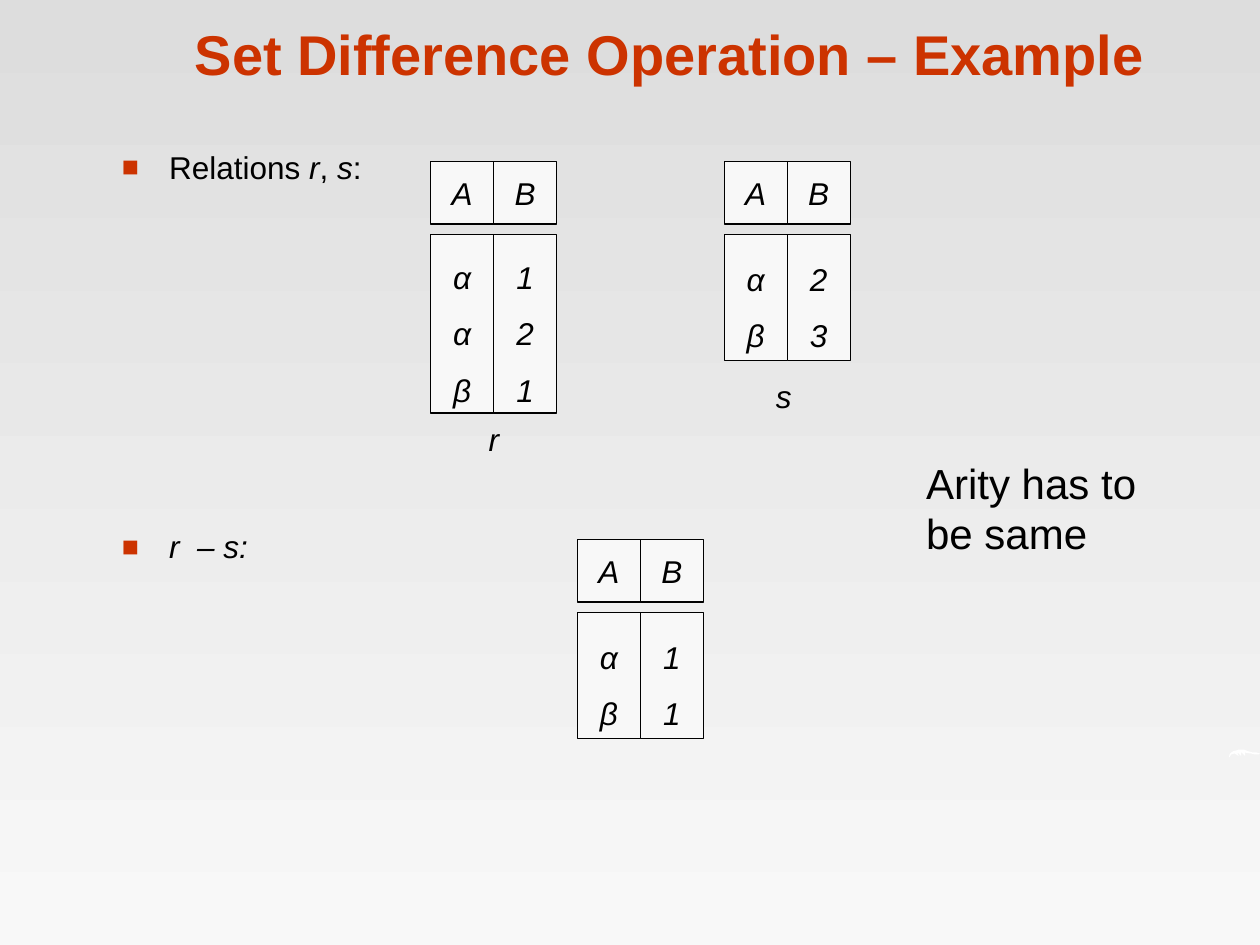
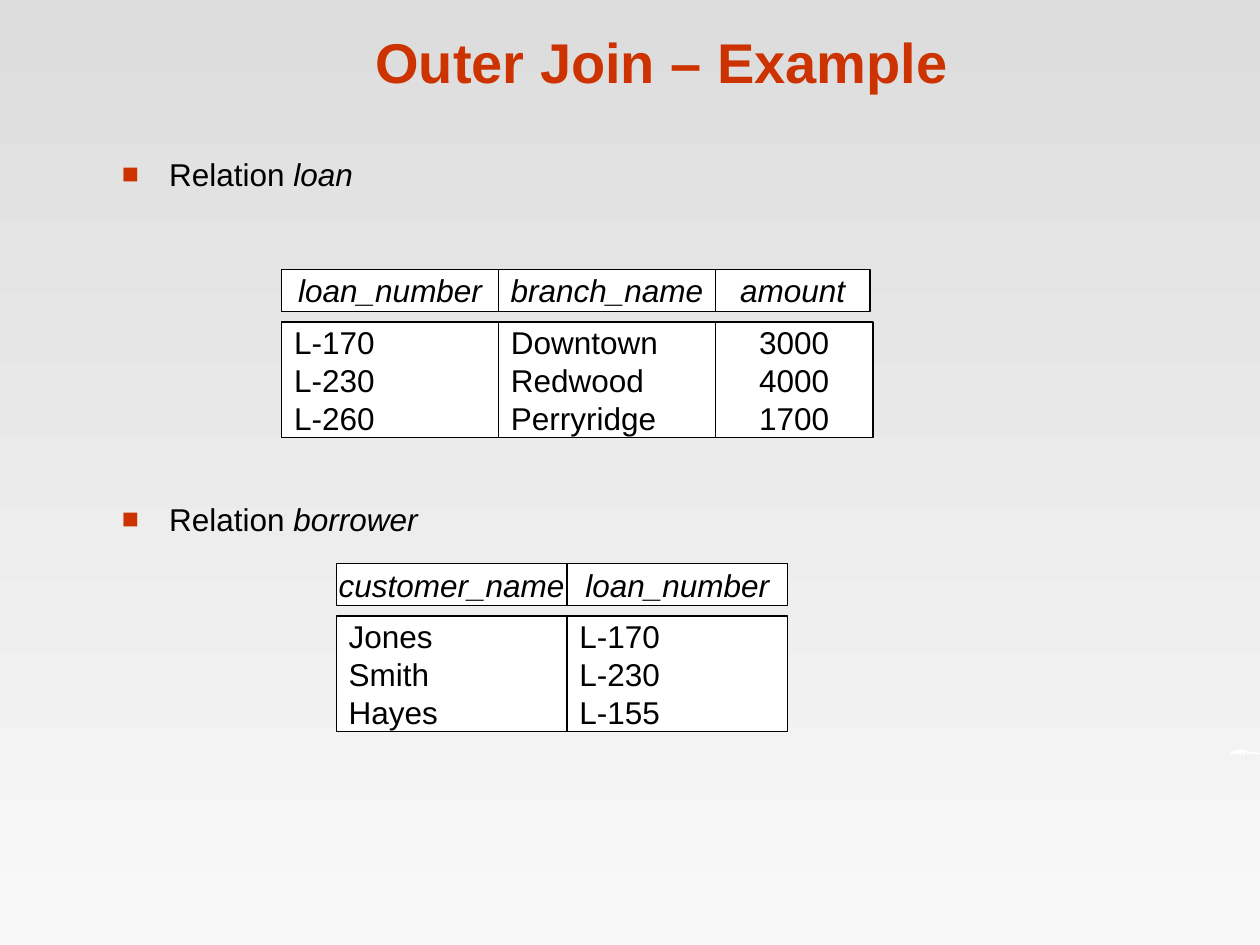
import pptx
import pptx.util
import pptx.dml.color
import pptx.enum.shapes
import pptx.enum.text
import lxml.etree

Cm = pptx.util.Cm
Pt = pptx.util.Pt
ALIGN = pptx.enum.text.PP_ALIGN
ANCHOR = pptx.enum.text.MSO_ANCHOR
RECT = pptx.enum.shapes.MSO_SHAPE.RECTANGLE
COLORS = {"accent": "CC3300", "ink": "000000", "top": "DDDDDD", "pale": "F8F8F8", "white": "FFFFFF"}
RGB = {name: pptx.dml.color.RGBColor.from_string(code) for name, code in COLORS.items()}
FONT = "Arial"


def write(box, lines, size=18, align=ALIGN.LEFT, anchor=ANCHOR.MIDDLE, wrap=False,
          color="ink", bold=False, space=None, bullet=False):
    frame = box.text_frame
    frame.word_wrap = wrap
    frame.vertical_anchor = anchor
    for index, runs in enumerate(lines):
        para = frame.add_paragraph() if index else frame.paragraphs[0]
        para.alignment = align
        if space:
            para.line_spacing = space
        for text, slant in runs:
            run = para.add_run()
            run.text = text
            font = run.font
            font.name, font.size = FONT, Pt(size)
            font.bold, font.italic = bold, slant
            font.color.rgb = RGB[color]
        if bullet:
            para.space_before = Pt(7.9)
            props = para._p.get_or_add_pPr()
            props.set("marL", str(Cm(0.95)))
            props.set("indent", str(-Cm(0.95)))
            tint = props.makeelement(pptx.oxml.ns.qn("a:buClr"), {})
            props.append(tint)
            lxml.etree.SubElement(tint, pptx.oxml.ns.qn("a:srgbClr"), val=COLORS["accent"])
            for tag, key, value in (("a:buSzPct", "val", "90000"),
                                    ("a:buFont", "typeface", FONT),
                                    ("a:buChar", "char", "■")):
                lxml.etree.SubElement(props, pptx.oxml.ns.qn(tag), {key: value})


def relate(slide, left, top, head, body, columns, fill, slant, space=None):
    group = slide.shapes.add_group_shape()
    for name, cap, wide, align, values in columns:
        cells = (
            (top, cap, head, [name], ALIGN.CENTER, True, None),
            (top + head + 0.21, wide, body, values, align, slant, space),
        )
        for y, width, height, words, side, tilt, gap in cells:
            cell = group.shapes.add_shape(RECT, Cm(left), Cm(y), Cm(width), Cm(height))
            cell.shadow.inherit = False
            cell.fill.solid()
            cell.fill.fore_color.rgb = RGB[fill]
            cell.line.color.rgb = RGB["ink"]
            cell.line.width = Pt(0.75)
            write(cell, [[(word, tilt)] for word in words], align=side, space=gap)
        left += wide


deck = pptx.Presentation()
deck.slide_width, deck.slide_height = Cm(25.4), Cm(19.05)
back = deck.slide_master.background.fill
back.gradient()
back.gradient_angle = 270
for stop, name in zip(back.gradient_stops, ("top", "pale")):
    stop.color.rgb = RGB[name]

MARK = [(2477, 1527), (2479, 1520), (2482, 1517), (2487, 1514), (2492, 1513),
        (2497, 1511), (2507, 1511), (2515, 1514), (2525, 1517), (2533, 1517),
        (2540, 1519), (2537, 1521), (2530, 1521), (2522, 1519), (2512, 1518),
        (2510, 1516), (2510, 1524), (2502, 1516), (2502, 1524), (2494, 1516),
        (2497, 1524), (2489, 1519), (2482, 1521), (2479, 1526)]

PAGES = [
    ("Set Difference Operation – Example", 2.29, 0.18, [
        (3.0, 0.94, 0.8, [("Relations ", False), ("r", True), (", ", False), ("s", True), (":", False)]),
        (10.59, 0.91, 0.9, [("r  – s:", True)]),
    ]),
    ("Outer Join – Example", 2.13, 0.33, [
        (3.0, 1.35, None, [("Relation ", False), ("loan", True)]),
        (9.96, 1.35, None, [("Relation ", False), ("borrower", True)]),
    ]),
]

slides = []
for title, left, top, points in PAGES:
    slide = deck.slides.add_slide(deck.slide_layouts[6])
    slides.append(slide)
    pen = slide.shapes.build_freeform(*MARK[0], scale=Cm(0.01))
    pen.add_line_segments(MARK[1:], close=True)
    mark = pen.convert_to_shape()
    mark.shadow.inherit = False
    mark.fill.solid()
    mark.fill.fore_color.rgb = RGB["white"]
    mark.line.fill.background()
    box = slide.shapes.add_textbox(Cm(left), Cm(top), Cm(22.43), Cm(1.7))
    write(box, [[(title, False)]], 32, ALIGN.CENTER, ANCHOR.BOTTOM, True, "accent", True)
    for y, height, space, runs in points:
        box = slide.shapes.add_textbox(Cm(2.21), Cm(y), Cm(19.3), Cm(height))
        write(box, [runs], anchor=ANCHOR.TOP, wrap=True, space=space, bullet=True)

minus, outer = slides

SETS = [
    (8.68, 3.25, 3.6, "ααβ", "121"),
    (14.6, 3.25, 2.54, "αβ", "23"),
    (11.64, 10.87, 2.54, "αβ", "11"),
]
for left, top, body, greek, digits in SETS:
    columns = [(name, 1.27, 1.27, ALIGN.CENTER, values)
               for name, values in (("A", greek), ("B", digits))]
    relate(minus, left, top, 1.27, body, columns, "pale", True, 1.5)

for name, left, top, width in (("r", 9.6, 8.33, 0.71), ("s", 15.39, 7.47, 0.81)):
    box = minus.shapes.add_textbox(Cm(left), Cm(top), Cm(width), Cm(1.02))
    write(box, [[(name, True)]], align=ALIGN.CENTER)
note = minus.shapes.add_textbox(Cm(18.42), Cm(9.09), Cm(5.5), Cm(2.29))
write(note, [[("Arity has to be same", False)]], 24, anchor=ANCHOR.TOP, wrap=True)

LOAN = [
    ("loan_number", 4.37, 4.37, ALIGN.LEFT, ["L-170", "L-230", "L-260"]),
    ("branch_name", 4.37, 4.37, ALIGN.LEFT, ["Downtown", "Redwood", "Perryridge"]),
    ("amount", 3.12, 3.18, ALIGN.CENTER, ["3000", "4000", "1700"]),
]
DEBTOR = [
    ("customer_name", 4.65, 4.65, ALIGN.LEFT, ["Jones", "Smith", "Hayes"]),
    ("loan_number", 4.45, 4.45, ALIGN.LEFT, ["L-170", "L-230", "L-155"]),
]
for left, top, columns in ((5.68, 5.43, LOAN), (6.78, 11.36, DEBTOR)):
    relate(outer, left, top, 0.85, 2.33, columns, "white", False)

deck.save("out.pptx")
